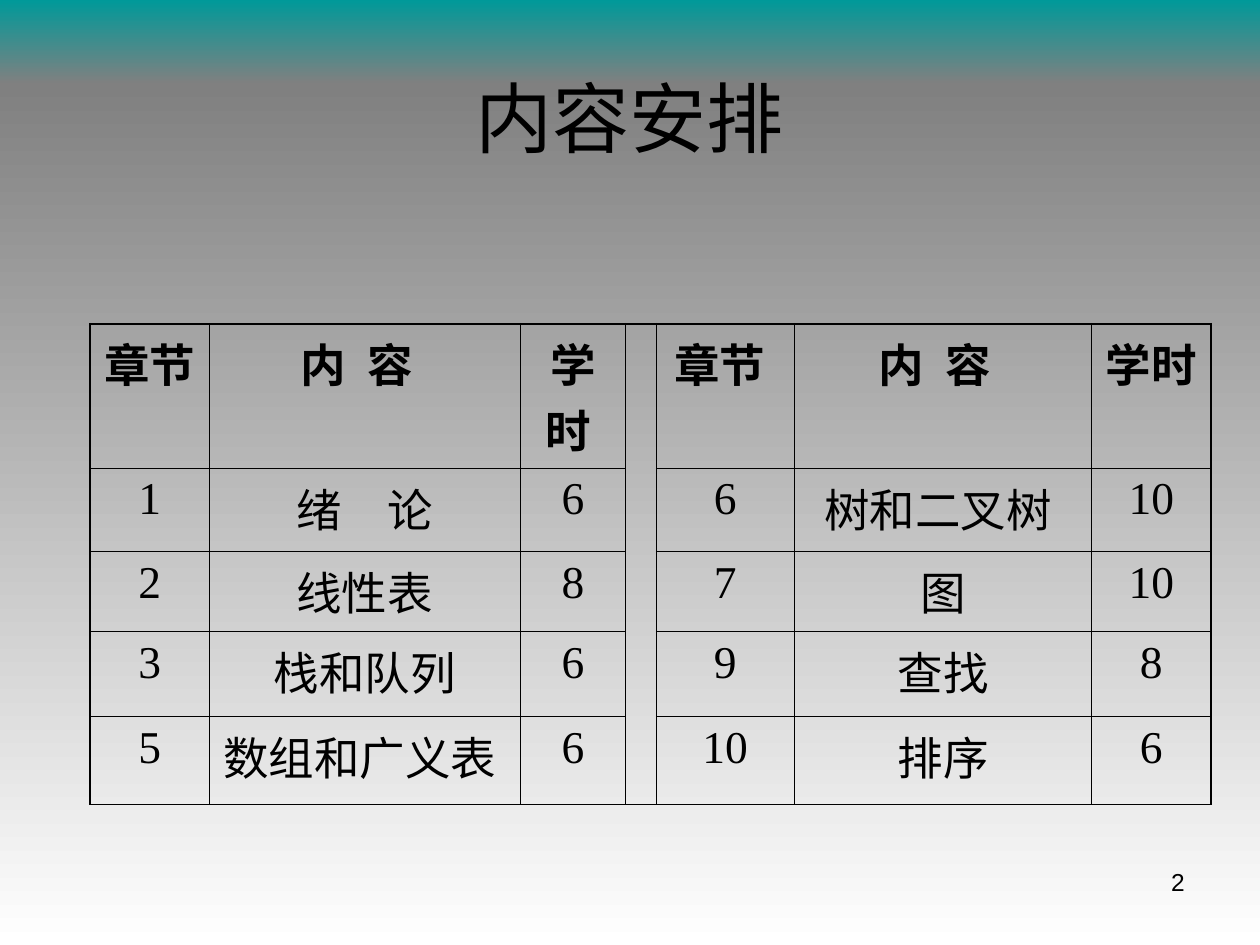
from lxml import etree
from pptx import Presentation
from pptx import util as u
from pptx.dml import color
from pptx.enum import shapes, text
from pptx.oxml import ns

SANS, SERIF, CJK = "Arial", "Times New Roman", "Noto Sans CJK SC"
INK, TEAL, GREY, WHITE = "000000", "009999", "808080", "FFFFFF"
THIN, THICK = 0.45, 1.08

COLS = [68, 178, 60, 17.5, 79, 170, 68]
ROWS = [82.5, 47.5, 45.75, 48.75, 50.25]
GAP = 3  # empty column between the two halves
PLAN = [
    ["章节", "内 容 ", "学时 ", "", "章节 ", "内 容 ", "学时 "],
    ["1", "绪　论", "6", "", "6", "树和二叉树 ", "10"],
    ["2", "线性表", "8", "", "7", "图", "10"],
    ["3", "栈和队列", "6", "", "9", "查找", "8"],
    ["5", "数组和广义表 ", "6", "", "10", "排序", "6"],
]


def rgb(code):
    return color.RGBColor.from_string(code)


class Deck:
    def __init__(self, wide, high):
        self.prs = Presentation()
        self.prs.slide_width, self.prs.slide_height = u.Pt(wide), u.Pt(high)
        self.slide = self.prs.slides.add_slide(self.prs.slide_layouts[5])

    def style(self, para, size, face, align, bold=False):
        para.alignment = align
        font = para.font
        font.size, font.name, font.bold = u.Pt(size), face, bold
        font.color.rgb = rgb(INK)
        props = para._p.pPr.find(ns.qn("a:defRPr"))
        etree.SubElement(props, ns.qn("a:ea"), typeface=CJK)
        if " " in para.text.strip():
            props.set("spc", "325")  # widens the gap between the characters

    def place(self, shape, box):
        shape.left, shape.top, shape.width, shape.height = map(u.Pt, box)

    def band(self, box, start, end):
        """Add a vertical gradient band behind everything else."""
        tree = self.slide.shapes
        shape = tree.add_shape(shapes.MSO_SHAPE.RECTANGLE, *map(u.Pt, box))
        shape.shadow.inherit = False
        shape.line.fill.background()
        shape.fill.gradient()
        shape.fill.gradient_angle = 270
        for stop, code in zip(shape.fill.gradient_stops, (start, end)):
            stop.color.rgb = rgb(code)
        tree._spTree.insert(2, shape._element)

    def title(self, box, words):
        shape = self.slide.shapes.title
        self.place(shape, box)
        frame = shape.text_frame
        frame.text = words
        frame.vertical_anchor = text.MSO_ANCHOR.MIDDLE
        self.style(frame.paragraphs[0], 44, CJK, text.PP_ALIGN.CENTER)

    def label(self, box, words):
        frame = self.slide.shapes.add_textbox(*map(u.Pt, box)).text_frame
        frame.word_wrap = True
        frame.text = words
        self.style(frame.paragraphs[0], 14, SANS, text.PP_ALIGN.RIGHT)

    def edges(self, cell, widths):
        """Draw the left, right, top and bottom borders of a cell."""
        props = cell._tc.get_or_add_tcPr()
        for i, (side, width) in enumerate(zip("LRTB", widths)):
            line = etree.Element(ns.qn("a:ln" + side), w=str(int(u.Pt(width))))
            fill = etree.SubElement(line, ns.qn("a:solidFill"))
            etree.SubElement(fill, ns.qn("a:srgbClr"), val=INK)
            props.insert(i, line)

    def table(self, left, top):
        box = left, top, sum(COLS), sum(ROWS)
        frame = self.slide.shapes.add_table(len(ROWS), len(COLS), *map(u.Pt, box))
        grid = frame.table
        grid.first_row = grid.horz_banding = False
        for col, width in zip(grid.columns, COLS):
            col.width = u.Pt(width)
        for row, height in zip(grid.rows, ROWS):
            row.height = u.Pt(height)
        last = len(COLS) - 1
        for r, line in enumerate(PLAN):
            for c, words in enumerate(line):
                cell = grid.cell(r, c)
                cell.fill.background()
                self.edges(cell, (THIN if c else THICK,
                                  THICK if c == last else THIN,
                                  THIN if r else THICK, THIN))
                if words:
                    cell.text = words
                    self.style(cell.text_frame.paragraphs[0], 26, SERIF,
                               text.PP_ALIGN.CENTER, r == 0)
        grid.cell(0, GAP).merge(grid.cell(len(ROWS) - 1, GAP))


def main():
    deck = Deck(720, 540)
    deck.band((0, 0, 720, 48), TEAL, GREY)
    deck.band((0, 48, 720, 492), GREY, WHITE)
    deck.label((516, 492, 168, 37), "2")
    deck.title((36, 21.6, 648, 90), "内容安排")
    deck.table(51.5, 185)
    deck.prs.save("out.pptx")


if __name__ == "__main__":
    main()
